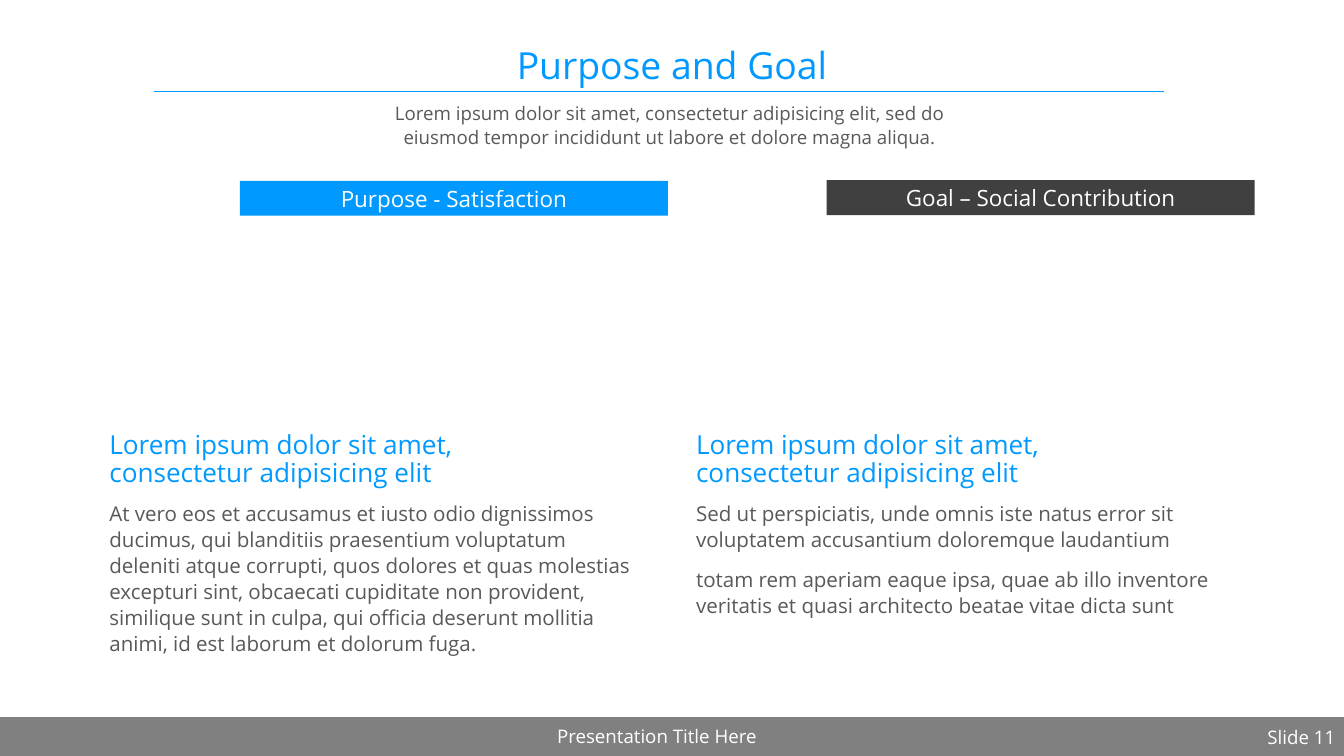
from dataclasses import dataclass

from pptx import Presentation
from pptx.dml.color import RGBColor
from pptx.enum.shapes import MSO_CONNECTOR, MSO_SHAPE
from pptx.enum.text import MSO_ANCHOR, PP_ALIGN
from pptx.oxml.ns import qn
from pptx.shapes.autoshape import Shape
from pptx.slide import Slide
from pptx.util import Inches, Length, Pt

LEFT, CENTER, RIGHT = PP_ALIGN.LEFT, PP_ALIGN.CENTER, PP_ALIGN.RIGHT
TOP, BOTTOM = MSO_ANCHOR.TOP, MSO_ANCHOR.BOTTOM
RECTANGLE = MSO_SHAPE.RECTANGLE
STRAIGHT = MSO_CONNECTOR.STRAIGHT

FONT = "Open Sans"
COLORS = {
    "accent": "0099FF",
    "body": "595959",
    "dark": "404040",
    "footer": "808080",
    "white": "FFFFFF",
}
SLIDE_WIDTH, SLIDE_HEIGHT = 20, 11.25
COLUMN_WIDTH = 8.08
BANNER_OFFSET = 2.04


@dataclass(frozen=True)
class Box:
    left: float
    top: float
    width: float
    height: float

    def lengths(self) -> tuple[Length, ...]:
        return tuple(Inches(v) for v in (self.left, self.top, self.width, self.height))


@dataclass(frozen=True)
class TextStyle:
    size: int
    color: str
    align: PP_ALIGN = LEFT
    anchor: MSO_ANCHOR = TOP
    line_spacing: float | Length = 1.0
    space_before: int = 0


@dataclass(frozen=True)
class Column:
    left: float
    banner: str
    banner_top: float
    banner_color: str
    heading_top: float
    paragraphs: tuple[str, ...]


TITLE = TextStyle(40, "accent", CENTER, BOTTOM, 0.9)
SUBTITLE = TextStyle(20, "body", CENTER, TOP, 1.1, 15)
BANNER = TextStyle(24, "white", CENTER, BOTTOM, 0.9, 15)
HEADING = TextStyle(28, "accent", LEFT, BOTTOM, 0.9, 15)
BODY = TextStyle(22, "body", LEFT, TOP, Pt(28), 15)
FOOTER_TITLE = TextStyle(20, "white", CENTER)
FOOTER_NUMBER = TextStyle(20, "white", RIGHT)

HEADING_TEXT = "Lorem ipsum dolor sit amet,\nconsectetur adipisicing elit"
COLUMNS = (
    Column(1.53, "Purpose - Satisfaction", 2.69, "accent", 6.2, (
        "At vero eos et accusamus et iusto odio dignissimos ducimus, qui blanditiis "
        "praesentium voluptatum deleniti atque corrupti, quos dolores et quas molestias "
        "excepturi sint, obcaecati cupiditate non provident, similique sunt in culpa, "
        "qui officia deserunt mollitia animi, id est laborum et dolorum fuga.",
    )),
    Column(10.26, "Goal – Social Contribution", 2.68, "dark", 6.19, (
        "Sed ut perspiciatis, unde omnis iste natus error sit voluptatem accusantium "
        "doloremque laudantium",
        "totam rem aperiam eaque ipsa, quae ab illo inventore veritatis et quasi "
        "architecto beatae vitae dicta sunt",
    )),
)


def rgb(name: str) -> RGBColor:
    return RGBColor.from_string(COLORS[name])


def write_text(shape: Shape, paragraphs: tuple[str, ...], style: TextStyle) -> None:
    """Fill the shape with paragraphs; a newline inside one is a line break."""
    frame = shape.text_frame
    frame.word_wrap = True
    frame.vertical_anchor = style.anchor
    for index, content in enumerate(paragraphs):
        paragraph = frame.add_paragraph() if index else frame.paragraphs[0]
        paragraph.alignment = style.align
        paragraph.line_spacing = style.line_spacing
        paragraph.space_before = Pt(style.space_before)
        for row, line in enumerate(content.split("\n")):
            if row:
                paragraph.add_line_break()
            run = paragraph.add_run()
            run.text = line
            run.font.name = FONT
            run.font.size = Pt(style.size)
            run.font.color.rgb = rgb(style.color)


def add_text(slide: Slide, box: Box, style: TextStyle, *paragraphs: str) -> None:
    write_text(slide.shapes.add_textbox(*box.lengths()), paragraphs, style)


def add_bar(slide: Slide, box: Box, color: str) -> Shape:
    bar = slide.shapes.add_shape(RECTANGLE, *box.lengths())
    bar.shadow.inherit = False
    bar.fill.solid()
    bar.fill.fore_color.rgb = rgb(color)
    bar.line.fill.background()
    return bar


def add_title_rule(slide: Slide, left: float, right: float, top: float) -> None:
    rule = slide.shapes.add_connector(
        STRAIGHT, Inches(left), Inches(top), Inches(right), Inches(top))
    rule.line.color.rgb = rgb("accent")
    rule.line.width = Pt(0.5)
    properties = rule._element.spPr
    properties.append(properties.makeelement(qn("a:effectLst"), {}))


def add_column(slide: Slide, column: Column) -> None:
    add_text(slide, Box(column.left, column.heading_top, COLUMN_WIDTH, 1.12),
             HEADING, HEADING_TEXT)
    add_text(slide, Box(column.left, 7.38, COLUMN_WIDTH, 2.58), BODY, *column.paragraphs)
    banner_box = Box(column.left + BANNER_OFFSET, column.banner_top, 6.37, 0.52)
    banner = add_bar(slide, banner_box, column.banner_color)
    write_text(banner, (column.banner,), BANNER)


def main() -> None:
    presentation = Presentation()
    presentation.slide_width = Inches(SLIDE_WIDTH)
    presentation.slide_height = Inches(SLIDE_HEIGHT)
    slide = presentation.slides.add_slide(presentation.slide_layouts[6])

    add_bar(slide, Box(0, 10.67, SLIDE_WIDTH, 0.58), "footer")
    add_title_rule(slide, 2.29, 17.32, 1.36)
    add_text(slide, Box(6.4, 10.74, 6.75, 0.38), FOOTER_TITLE, "Presentation Title Here")
    add_text(slide, Box(15.47, 10.75, 4.5, 0.37), FOOTER_NUMBER, "Slide 11")
    add_text(slide, Box(0.35, 0.51, 19.3, 0.84), TITLE, "Purpose and Goal")
    add_text(slide, Box(0.35, 1.43, 19.3, 1.01), SUBTITLE,
             "Lorem ipsum dolor sit amet, consectetur adipisicing elit, sed do \n"
             "eiusmod tempor incididunt ut labore et dolore magna aliqua. ")
    for column in COLUMNS:
        add_column(slide, column)

    presentation.save("out.pptx")


if __name__ == "__main__":
    main()
